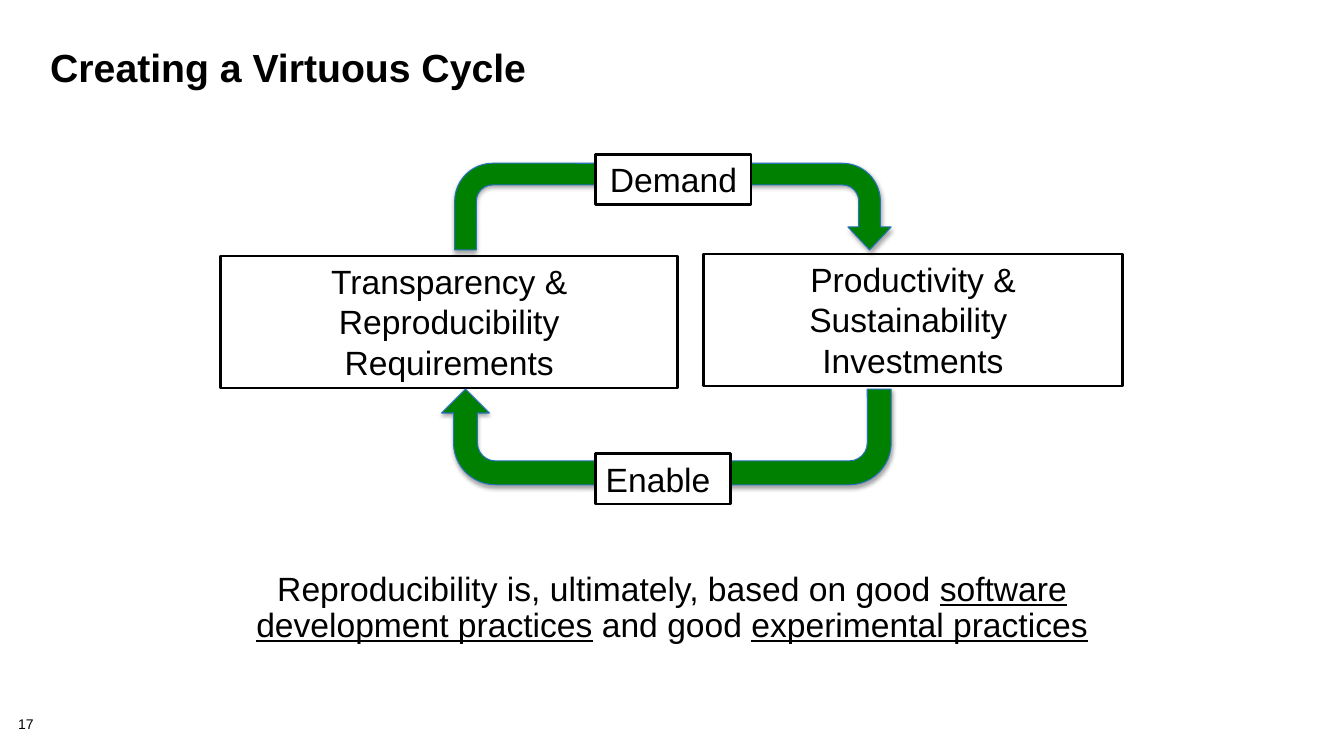
from lxml.etree import SubElement
from pptx import Presentation
from pptx.dml.color import RGBColor
from pptx.enum.shapes import MSO_SHAPE
from pptx.enum.text import MSO_ANCHOR, PP_ALIGN
from pptx.oxml.ns import qn
from pptx.util import Inches, Pt

WIDE, HIGH = 13.33, 7.5
FONT = "Arial"
HUES = {"ink": "000000", "paper": "FFFFFF", "arrow": "008000", "edge": "2673BA"}
MID, LEFT = PP_ALIGN.CENTER, PP_ALIGN.LEFT

TITLE = "Creating a Virtuous Cycle"
PAGE = "17"
CLAIM = [
    ("Reproducibility is, ultimately, based on good ", False),
    ("software development practices", True),
    (" and good ", False),
    ("experimental practices", True),
]
GOALS = [
    (2.19, 2.54, 4.53, "Transparency & Reproducibility Requirements"),
    (6.98, 2.52, 4.15, "Productivity & Sustainability \vInvestments"),
]
ARROWS = [
    ((4.51, 1.62, 4.33, 0.86), (0.25, 0.25, 0.265, 0.438, 1), False),
    ((4.38, 3.86, 4.46, 0.95), (0.25, 0.25, 0.25, 0.438, 1), True),
]
TAGS = [(1.53, 1.54, "Demand", MID), (4.5, 1.34, "Enable", LEFT)]
TAG_LEFT, TAG_HIGH, GOAL_HIGH = 5.91, 0.5, 1.31


def hue(name):
    return RGBColor.from_string(HUES[name])


def write(shape, runs, size=24, align=LEFT, pitch=None, bold=False,
          pad=(0.1, 0.05), anchor=MSO_ANCHOR.TOP):
    frame = shape.text_frame
    frame.word_wrap = True
    frame.vertical_anchor = anchor
    frame.margin_left = frame.margin_right = Inches(pad[0])
    frame.margin_top = frame.margin_bottom = Inches(pad[1])
    para = frame.paragraphs[0]
    para.alignment = align
    if pitch:
        para.line_spacing = pitch
    for text, under in runs:
        for row, part in enumerate(text.split("\v")):
            if row:
                para.add_line_break()
            run = para.add_run()
            run.text = part
            font = run.font
            font.name, font.size, font.bold = FONT, Pt(size), bold
            font.underline = under
            font.color.rgb = hue("ink")


def add_text(slide, spot, runs, **style):
    write(slide.shapes.add_textbox(*map(Inches, spot)), runs, **style)


def add_form(slide, kind, spot, fill, line, width):
    shape = slide.shapes.add_shape(kind, *map(Inches, spot))
    shape.shadow.inherit = False
    shape.fill.solid()
    shape.fill.fore_color.rgb = hue(fill)
    shape.line.color.rgb = hue(line)
    shape.line.width = Pt(width)
    return shape


def add_box(slide, spot, text, align):
    box = add_form(slide, MSO_SHAPE.RECTANGLE, spot, "paper", "ink", 2)
    write(box, [(text, False)], align=align)


def add_arrow(slide, spot, bends, flip):
    arrow = add_form(slide, MSO_SHAPE.U_TURN_ARROW, spot, "arrow", "edge", 0.75)
    for index, bend in enumerate(bends):
        arrow.adjustments[index] = bend
    props = arrow._element.spPr
    if flip:
        frame = props.find(qn("a:xfrm"))
        frame.set("flipH", "1")
        frame.set("flipV", "1")
    shade = SubElement(props.find(qn("a:effectLst")), qn("a:outerShdw"),
                       blurRad=str(Pt(3.1)), dist=str(Pt(1.8)),
                       dir="5400000", rotWithShape="0")
    tint = SubElement(shade, qn("a:srgbClr"), val=HUES["ink"])
    SubElement(tint, qn("a:alpha"), val="35000")


def main():
    deck = Presentation()
    deck.slide_width, deck.slide_height = Inches(WIDE), Inches(HIGH)
    slide = deck.slides.add_slide(deck.slide_layouts[6])
    add_text(slide, (0.18, 7.12, 0.56, 0.16), [(PAGE, False)],
             size=10, pitch=0.9, pad=(0, 0))
    add_text(slide, (0.4, 0.45, 12.44, 1), [(TITLE, False)],
             size=28, pitch=0.85, bold=True)
    for left, top, wide, text in GOALS:
        add_box(slide, (left, top, wide, GOAL_HIGH), text, MID)
    for spot, bends, flip in ARROWS:
        add_arrow(slide, spot, bends, flip)
    for top, wide, text, align in TAGS:
        add_box(slide, (TAG_LEFT, top, wide, TAG_HIGH), text, align)
    add_text(slide, (2.36, 5.57, 8.61, 0.93), CLAIM, align=MID, pitch=0.9,
             pad=(0.13, 0.1), anchor=MSO_ANCHOR.MIDDLE)
    deck.save("out.pptx")


if __name__ == "__main__":
    main()
